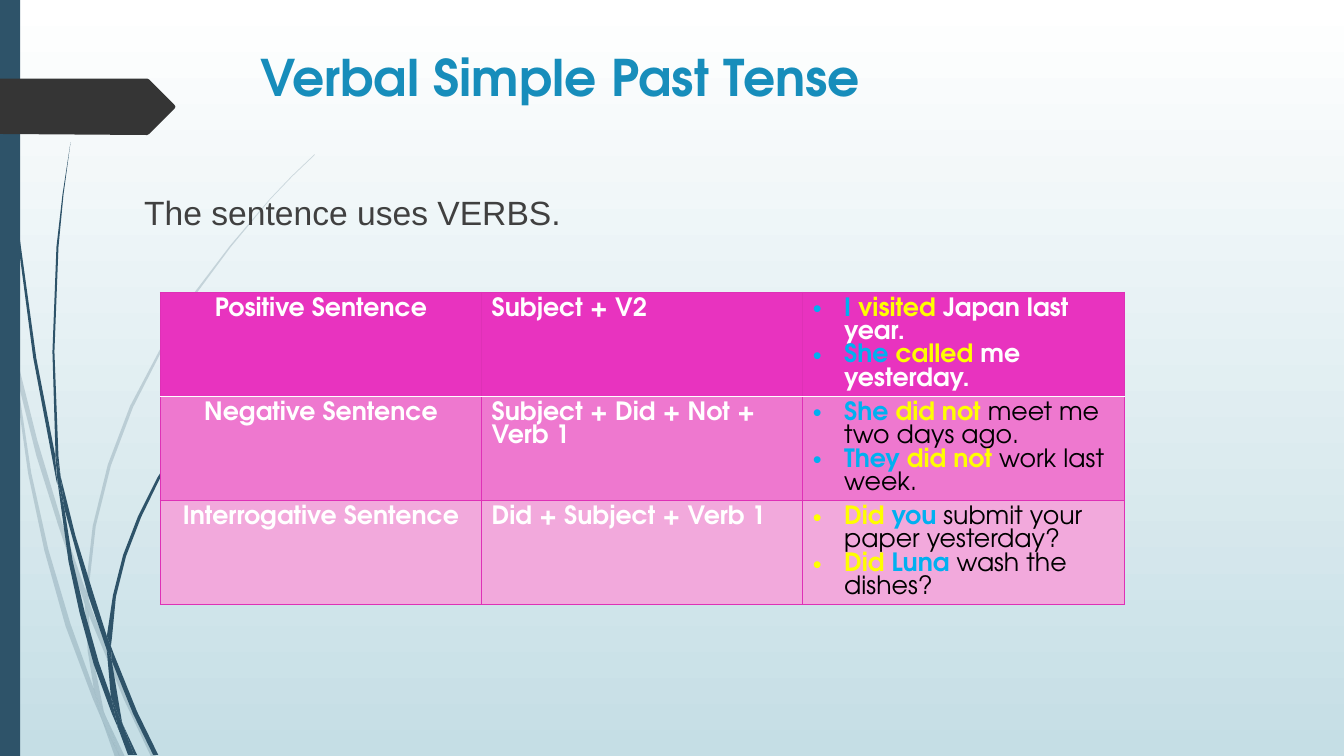
from lxml.etree import SubElement, fromstring
from pptx import Presentation
from pptx.dml.color import RGBColor
from pptx.enum.shapes import MSO_SHAPE as Preset
from pptx.enum.text import MSO_ANCHOR as Anchor, PP_ALIGN as Align
from pptx.oxml.ns import qn
from pptx.util import Emu, Inches, Pt

WIDTH, HEIGHT = Inches(13.33), Inches(7.5)
HEAD_FONT = "TeX Gyre Adventor"
NAVY, TAG, TITLE, BODY = "2E5369", "353535", "178DBB", "404040"
WHITE, BLACK, BLUE, YELLOW = "FFFFFF", "000000", "00B0F0", "FFFF00"
BORDER = "DE31B6"
ROW_FILLS = ["E833BF", "EE78CF", "F2A9DC"]

# Outlines of the pieces of each tuft of grass, in inches
PALE_GRASS = [
    [(0.11, 3.5), (0.09, 3.22), (0, 2.82), (0, 2.99), (0.1, 3.44)],
    [(0.58, 5.22), (0.84, 5.99), (0.85, 5.86), (0.62, 5.2), (0.37, 4.37), (0.14, 3.45),
     (0.17, 3.76), (0.36, 4.52)],
    [(0.92, 6.07), (0.88, 5.96), (0.88, 6.1), (1.23, 6.94), (1.5, 7.51), (1.55, 7.51), (1.27, 6.92)],
    [(1.19, 7.51), (1.24, 7.51), (1.05, 7.11)],
    [(0.93, 6.83), (0.7, 6.19), (0.48, 5.45), (0.31, 4.69), (0.17, 3.76), (0.11, 3.5), (0.28, 4.7),
     (0.44, 5.46), (0.65, 6.21), (0.92, 6.93), (1.01, 7.14), (0.99, 7.07)],
    [(0.84, 5.99), (0.87, 6.46), (0.93, 6.83), (0.96, 6.92), (1.05, 7.11), (1.03, 7.06),
     (0.91, 6.46), (0.88, 6.1), (0.88, 6.08)],
    [(0.88, 5.84), (0.95, 5.22), (1.1, 4.62), (1.32, 4.04), (1.6, 3.49), (1.92, 2.95), (2.29, 2.45),
     (2.68, 1.98), (2.9, 1.75), (3.12, 1.54), (3.12, 1.53), (2.89, 1.75), (2.68, 1.97), (2.28, 2.44),
     (1.9, 2.94), (1.58, 3.48), (1.29, 4.03), (1.07, 4.61), (0.92, 5.22), (0.85, 5.84), (0.85, 5.86),
     (0.88, 5.96)],
    [(1.01, 7.14), (1.14, 7.51), (1.19, 7.51)],
    [(0.88, 6.08), (0.88, 6.1), (0.88, 5.96), (0.85, 5.86), (0.84, 5.99)],
    [(0.96, 6.92), (0.93, 6.83), (0.99, 7.07), (1.01, 7.14), (1.19, 7.51), (1.05, 7.11)],
]
DARK_GRASS = [
    [(0.07, 1.1), (0.17, 2.33), (0.33, 3.55), (0.56, 4.77), (0.57, 4.81), (0.55, 4.57), (0.55, 4.53),
     (0.36, 3.55), (0.19, 2.32), (0.08, 1.09), (0.05, 0.48), (0.04, 0), (0.03, 0), (0.04, 0.48)],
    [(0.88, 5.92), (1.06, 6.45), (1.06, 6.31), (0.93, 5.9), (0.75, 5.32), (0.6, 4.72), (0.64, 5.05)],
    [(1.13, 6.49), (1.1, 6.41), (1.11, 6.56), (1.32, 7.08), (1.52, 7.49), (1.57, 7.49), (1.36, 7.06)],
    [(1.1, 6.91), (0.98, 6.57), (0.84, 6.07), (0.72, 5.56), (0.64, 5.05), (0.57, 4.77), (0.68, 5.57),
     (0.79, 6.08), (0.93, 6.59), (1.11, 7.08), (1.17, 7.22), (1.16, 7.17)],
    [(0.6, 4.72), (0.58, 4.53), (0.54, 3.49), (0.58, 2.45), (0.63, 1.93), (0.7, 1.41),
     (0.62, 1.93), (0.56, 2.45), (0.52, 3.49), (0.55, 4.49)],
    [(1.33, 7.49), (1.36, 7.49), (1.22, 7.19)],
    [(0.57, 4.77), (0.64, 5.05), (0.6, 4.72), (0.55, 4.49), (0.55, 4.53)],
    [(1.11, 6.33), (1.15, 5.92), (1.25, 5.52), (1.4, 5.13), (1.58, 4.76), (1.81, 4.4), (2.05, 4.06),
     (2.31, 3.74), (2.45, 3.59), (2.61, 3.44), (2.6, 3.44), (2.45, 3.58), (2.31, 3.73), (2.04, 4.05),
     (1.79, 4.38), (1.56, 4.74), (1.37, 5.12), (1.22, 5.51), (1.12, 5.91), (1.06, 6.31), (1.1, 6.41)],
    [(1.17, 7.22), (1.27, 7.49), (1.31, 7.49)],
    [(1.06, 6.45), (1.1, 6.91), (1.16, 7.06), (1.22, 7.19), (1.21, 7.16), (1.11, 6.56), (1.09, 6.51)],
    [(1.06, 6.45), (1.09, 6.51), (1.11, 6.56), (1.1, 6.41), (1.06, 6.31)],
    [(1.16, 7.06), (1.1, 6.91), (1.16, 7.17), (1.17, 7.22), (1.3, 7.49), (1.33, 7.49), (1.22, 7.19)],
]
ARROW_TAG = [(0, 0.78), (1.46, 0.78), (1.48, 0.79), (1.73, 1.04), (1.74, 1.06),
             (1.73, 1.08), (1.48, 1.33), (1.46, 1.34), (0, 1.33)]

# Name of the form, its pattern, and two examples as coloured spans
TENSE_ROWS = [
    ("Positive Sentence", "Subject + V2",
     [[("I ", BLUE), ("visited", YELLOW), (" Japan last year.", WHITE)],
      [("She ", BLUE), ("called", YELLOW), (" me yesterday.", WHITE)]]),
    ("Negative Sentence", "Subject + Did + Not + Verb 1",
     [[("She ", BLUE), ("did not", YELLOW), (" meet me two days ago.", BLACK)],
      [("They ", BLUE), ("did not ", YELLOW), ("work last week.", BLACK)]]),
    ("Interrogative Sentence", "Did + Subject + Verb 1",
     [[("Did ", YELLOW), ("you", BLUE), (" submit your paper yesterday?", BLACK)],
      [("Did ", YELLOW), ("Luna", BLUE), (" wash the dishes?", BLACK)]]),
]


def color(code):
    return RGBColor.from_string(code)


def area(left, top, width, height):
    """Left, top, width and height in percent of the slide."""
    return [Emu(int(part * side / 100)) for part, side in
            zip((left, top, width, height), (WIDTH, HEIGHT, WIDTH, HEIGHT))]


def paint(shape, code, opacity=100):
    shape.shadow.inherit = False
    shape.fill.solid()
    shape.fill.fore_color.rgb = color(code)
    shape.line.fill.background()
    if opacity < 100:
        tint = shape.element.spPr.find(".//" + qn("a:srgbClr"))
        SubElement(tint, qn("a:alpha")).set("val", str(opacity * 1000))


def add_outline(shapes, points, code, opacity=100):
    corners = [(Inches(x), Inches(y)) for x, y in points]
    builder = shapes.build_freeform(*corners[0])
    builder.add_line_segments(corners[1:], close=True)
    paint(builder.convert_to_shape(), code, opacity)


def add_text(para, text, size=18, font=HEAD_FONT, code=WHITE, bold=True):
    span = para.add_run()
    span.text = text
    span.font.size, span.font.name, span.font.bold = Pt(size), font, bold
    span.font.color.rgb = color(code)


def set_bullet(para, indent=0.31, mark="•"):
    props = para._p.get_or_add_pPr()
    props.set("marL", str(Inches(indent)))
    props.set("indent", str(-Inches(indent)))
    if mark:
        SubElement(props, qn("a:buFont")).set("typeface", "Arial")
        SubElement(props, qn("a:buChar")).set("char", mark)
    else:
        SubElement(props, qn("a:buNone"))


def set_borders(cell, **edges):
    props = cell._tc.get_or_add_tcPr()
    for place, side in enumerate("LRTB"):
        code, width = edges.get(side, (BORDER, 0.75))
        props.insert(place, fromstring(
            f'<a:ln{side} xmlns:a="http://schemas.openxmlformats.org/drawingml/2006/main" '
            f'w="{Pt(width)}"><a:solidFill><a:srgbClr val="{code}"/></a:solidFill></a:ln{side}>'))


def fill_placeholder(holder, box, anchor):
    holder.left, holder.top, holder.width, holder.height = area(*box)
    holder.element.getparent().append(holder.element)  # in front of the decoration
    holder.text_frame.vertical_anchor = anchor
    para = holder.text_frame.paragraphs[0]
    para.alignment, para.space_before = Align.LEFT, Pt(0)
    return para


def add_decoration(slide):
    for pieces, opacity in ((PALE_GRASS, 20), (DARK_GRASS, 100)):
        tuft = slide.shapes.add_group_shape()
        for points in pieces:
            add_outline(tuft.shapes, points, NAVY, opacity)
    paint(slide.shapes.add_shape(Preset.RECTANGLE, *area(0, 0, 1.5, 100)), NAVY)
    add_outline(slide.shapes, ARROW_TAG, TAG)


def add_tense_table(slide):
    table = slide.shapes.add_table(3, 3, *area(11.93, 38.67, 71.72, 41.3)).table
    table.first_row = table.horz_banding = False
    for row, (name, pattern, examples) in enumerate(TENSE_ROWS):
        contents = [[[(name, WHITE)]], [[(pattern, WHITE)]], examples]
        for column, paragraphs in enumerate(contents):
            cell = table.cell(row, column)
            cell.fill.solid()
            cell.fill.fore_color.rgb = color(ROW_FILLS[row])
            rule = {0: {"B": (WHITE, 1.25)}, 1: {"T": (WHITE, 1.25)}}.get(row, {})
            set_borders(cell, **rule)
            for index, spans in enumerate(paragraphs):
                frame = cell.text_frame
                para = frame.add_paragraph() if index else frame.paragraphs[0]
                para.alignment = Align.CENTER if column == 0 else Align.LEFT
                if column == 2:
                    set_bullet(para)
                for text, code in spans:
                    add_text(para, text, code=code, bold=code != BLACK)


def main():
    deck = Presentation()
    deck.slide_width, deck.slide_height = WIDTH, HEIGHT
    page = deck.slides.add_slide(deck.slide_layouts[1])
    # Background and grass
    backdrop = page.background.fill
    backdrop.gradient()
    backdrop.gradient_angle = 270
    for stop, code, place in zip(backdrop.gradient_stops, (WHITE, "C5DEE5"), (0, 1)):
        stop.color.rgb, stop.position = color(code), place
    add_decoration(page)
    # Title and lead sentence
    heading = fill_placeholder(page.shapes.title, (18.6, 5.2, 73.14, 9.73), Anchor.MIDDLE)
    add_text(heading, "Verbal Simple Past Tense", size=36, code=TITLE)
    lead = fill_placeholder(page.placeholders[1], (9.98, 22, 84.4, 65.73), Anchor.TOP)
    lead.alignment, lead.line_spacing = Align.JUSTIFY, 1.5
    set_bullet(lead, indent=0, mark=None)
    add_text(lead, "The sentence uses VERBS.", size=24, font="Arial", code=BODY, bold=False)
    # Table of sentence forms
    add_tense_table(page)
    deck.save("out.pptx")


if __name__ == "__main__":
    main()
